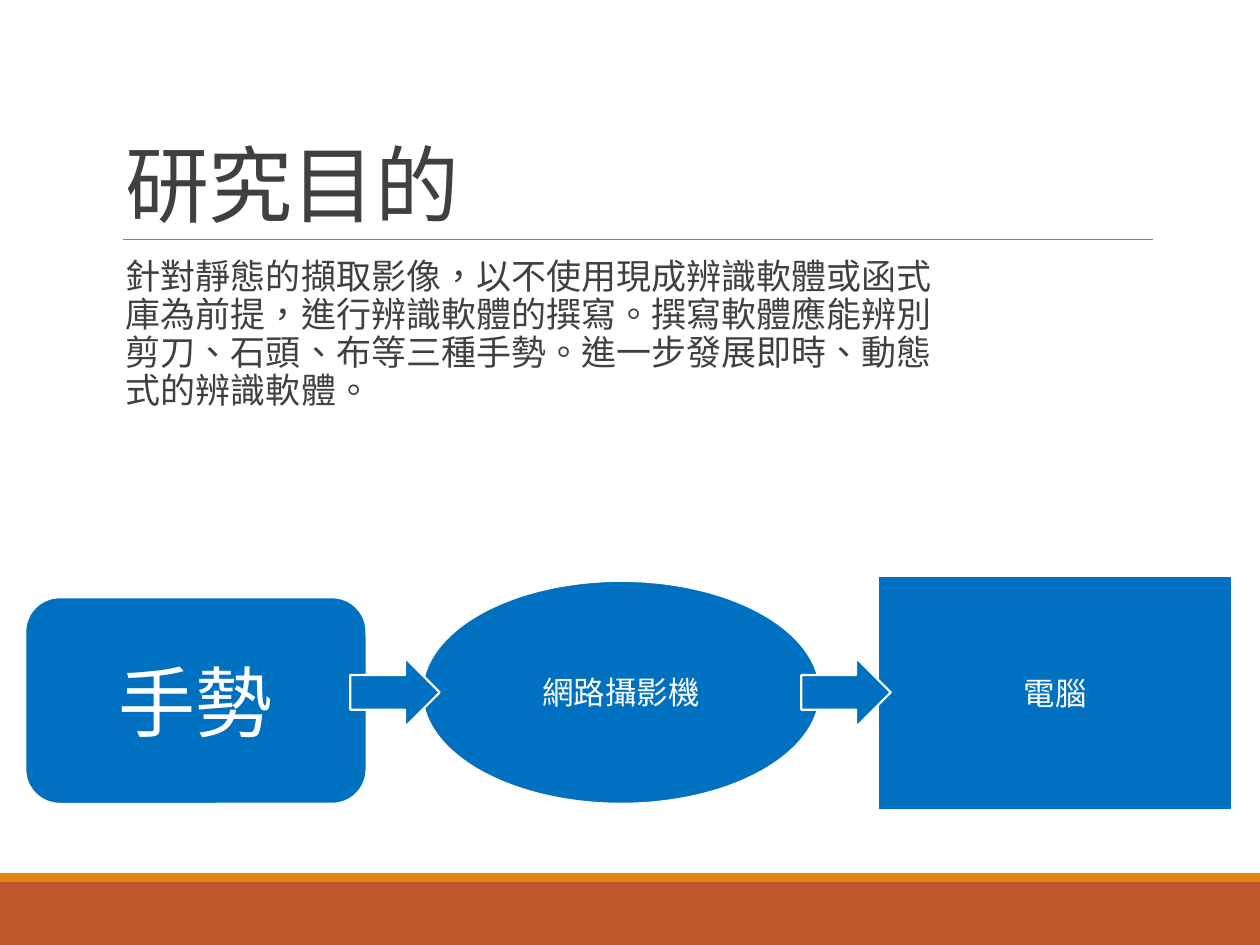
from pptx import Presentation
from pptx import util as u
from pptx.dml import color
from pptx.enum import lang, shapes, text
from pptx.oxml import ns
from lxml import etree

GESTURE_BLUE = "0070C0"
WHITE = "FFFFFF"
DARK = "404040"
CJK_FONT = "Noto Sans CJK SC"
PURPOSE = (
    "針對靜態的擷取影像，以不使用現成辨識軟體或函式庫為前提，進行辨識軟體的撰寫。"
    "撰寫軟體應能辨別剪刀、石頭、布等三種手勢。進一步發展即時、動態式的辨識軟體。"
)


def rgb(value):
    return color.RGBColor.from_string(value)


def apply(target, values):
    for name, value in values.items():
        setattr(target, name, value)


class SlideBuilder:
    def __init__(self, slide, font_name):
        self.slide = slide
        self.font_name = font_name

    def add_label(self, shape, content, size, ink, frame=None, paragraph=None, font_name=None, tracking=None):
        text_frame = shape.text_frame
        apply(text_frame, {"word_wrap": True, **(frame or {})})
        first = text_frame.paragraphs[0]
        apply(first, paragraph or {})
        run = first.add_run()
        run.text = content
        apply(run.font, {
            "size": u.Pt(size),
            "name": font_name or self.font_name,
            "language_id": lang.MSO_LANGUAGE_ID.TRADITIONAL_CHINESE,
        })
        run.font.color.rgb = rgb(ink)
        properties = run.font._element
        etree.SubElement(properties, ns.qn("a:ea"), typeface=CJK_FONT)
        if tracking:
            properties.set("spc", str(tracking))

    def textbox(self, box, content, size, **style):
        shape = self.slide.shapes.add_textbox(*map(u.Inches, box))
        self.add_label(shape, content, size, DARK, font_name=CJK_FONT, **style)

    def shape(self, kind, box, fill, outline=None, content=None, size=18):
        shape = self.slide.shapes.add_shape(kind, *map(u.Inches, box))
        shape.shadow.inherit = False
        shape.fill.solid()
        shape.fill.fore_color.rgb = rgb(fill)
        if outline:
            shape.line.color.rgb = rgb(outline)
            shape.line.width = u.Pt(1.25)
        else:
            shape.line.fill.background()
        if content:
            self.add_label(
                shape, content, size, WHITE,
                frame={"vertical_anchor": text.MSO_ANCHOR.MIDDLE},
                paragraph={"alignment": text.PP_ALIGN.CENTER},
            )

    def line(self, start, end, ink, width):
        connector = self.slide.shapes.add_connector(
            shapes.MSO_CONNECTOR.STRAIGHT, *map(u.Inches, (*start, *end))
        )
        connector.line.color.rgb = rgb(ink)
        connector.line.width = u.Pt(width)
        etree.SubElement(connector._element.spPr, ns.qn("a:effectLst"))


def main():
    presentation = Presentation()
    apply(presentation, {"slide_width": u.Inches(10), "slide_height": u.Inches(7.5)})
    slide = presentation.slides.add_slide(presentation.slide_layouts[6])
    builder = SlideBuilder(slide, "Calibri")
    kinds = shapes.MSO_SHAPE

    builder.shape(kinds.RECTANGLE, (0, 7, 10, 0.5), "BD582C")
    builder.shape(kinds.RECTANGLE, (0, 6.93, 10, 0.07), "E48312")
    builder.line((0.98, 1.9), (9.15, 1.9), "808080", 0.5)

    builder.textbox(
        (0.9, 0.31, 8.25, 1.59), "研究目的", 48, tracking=-50,
        frame={"vertical_anchor": text.MSO_ANCHOR.BOTTOM},
        paragraph={"line_spacing": 0.85},
    )
    builder.textbox(
        (0.9, 2.01, 6.77, 3.09), PURPOSE, 20,
        frame={"margin_left": u.Inches(0.1), "margin_right": 0},
        paragraph={"line_spacing": 0.9, "space_before": u.Pt(12), "space_after": u.Pt(2)},
    )

    stages = [
        (kinds.ROUNDED_RECTANGLE, (0.2, 4.74, 2.71, 1.64), "手勢", 44),
        (kinds.OVAL, (3.35, 4.61, 3.16, 1.77), "網路攝影機", 18),
        (kinds.RECTANGLE, (6.97, 4.57, 2.81, 1.86), "電腦", 18),
    ]
    for kind, box, label, size in stages:
        builder.shape(kind, box, GESTURE_BLUE, WHITE, label, size)
    for left in (2.78, 6.36):
        builder.shape(kinds.RIGHT_ARROW, (left, 5.22, 0.71, 0.55), GESTURE_BLUE, WHITE)

    presentation.save("out.pptx")


if __name__ == "__main__":
    main()
